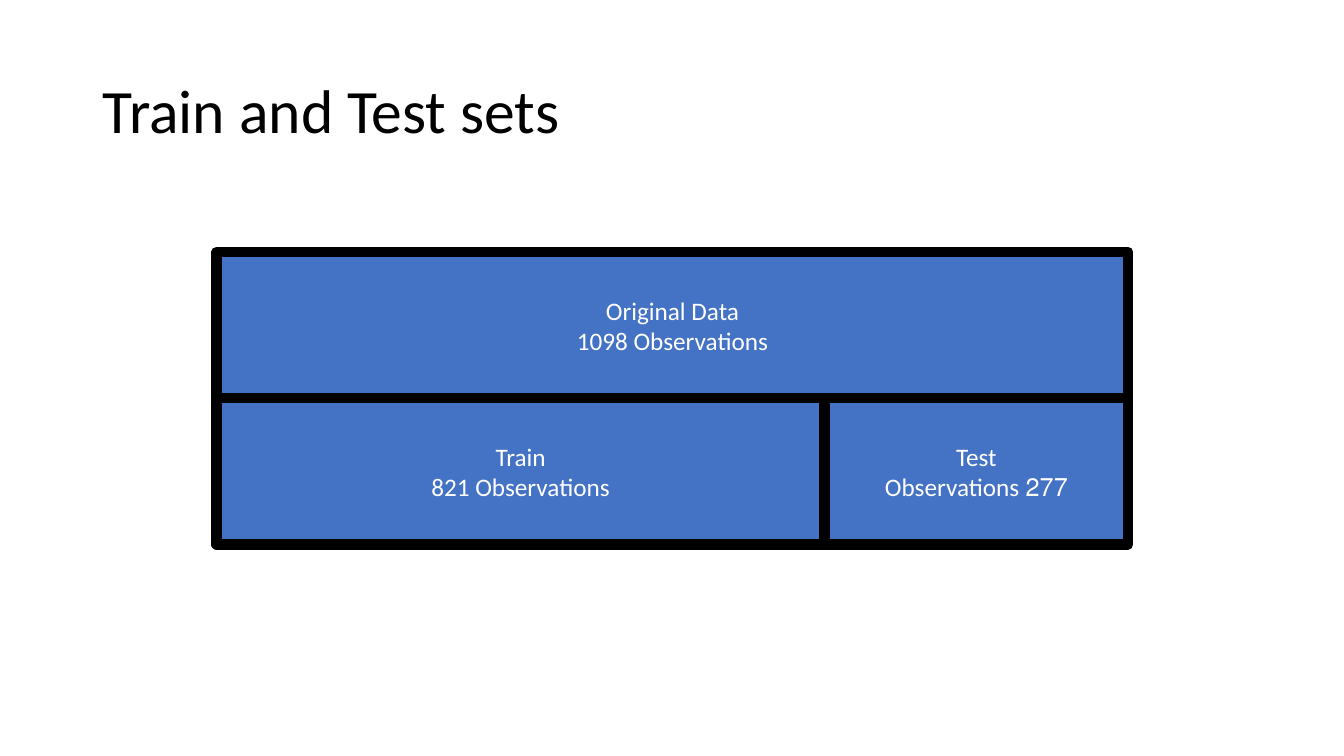
import dataclasses
import pptx
import pptx.dml.color
import pptx.enum.shapes
import pptx.enum.text
import pptx.util

Inches = pptx.util.Inches
Pt = pptx.util.Pt
Align = pptx.enum.text.PP_ALIGN
Anchor = pptx.enum.text.MSO_ANCHOR


@dataclasses.dataclass(frozen=True)
class Theme:
    face: str = "Calibri"
    ink: str = "000000"
    fill: str = "4472C4"
    light: str = "FFFFFF"
    head: float = 44
    body: float = 18
    edge: float = 7.5


def tint(code):
    return pptx.dml.color.RGBColor.from_string(code)


class Board:
    def __init__(self, slide, theme):
        self.slide = slide
        self.theme = theme

    def style(self, para, size, color, align):
        para.alignment = align
        para.font.name = self.theme.face
        para.font.size = Pt(size)
        para.font.color.rgb = tint(color)

    def place(self, shape, left, top, width, height):
        shape.left, shape.top = Inches(left), Inches(top)
        shape.width, shape.height = Inches(width), Inches(height)

    def title(self, text, *area):
        shape = self.slide.shapes.title
        self.place(shape, *area)
        frame = shape.text_frame
        frame.text = text
        frame.vertical_anchor = Anchor.MIDDLE
        para = frame.paragraphs[0]
        para.line_spacing = 0.9
        self.style(para, self.theme.head, self.theme.ink, Align.LEFT)

    def block(self, text, *area):
        kind = pptx.enum.shapes.MSO_SHAPE.RECTANGLE
        shape = self.slide.shapes.add_shape(kind, *map(Inches, area))
        shape.shadow.inherit = False
        shape.fill.solid()
        shape.fill.fore_color.rgb = tint(self.theme.fill)
        shape.line.color.rgb = tint(self.theme.ink)
        shape.line.width = Pt(self.theme.edge)
        frame = shape.text_frame
        frame.word_wrap = True
        frame.vertical_anchor = Anchor.MIDDLE
        frame.text = text
        for para in frame.paragraphs:
            self.style(para, self.theme.body, self.theme.light, Align.CENTER)
            para._p.get_or_add_pPr().set("rtl", "1")


def main():
    deck = pptx.Presentation()
    deck.slide_width, deck.slide_height = Inches(13.33), Inches(7.5)
    board = Board(deck.slides.add_slide(deck.slide_layouts[5]), Theme())
    board.title("Train and Test sets", 0.92, 0.4, 11.5, 1.45)

    left, top, width, height = 2.15, 2.5, 9.04, 1.45
    train = width * 2 / 3
    low = top + height
    board.block("Original Data\v1098 Observations", left, top, width, height)
    board.block("Train\v821 Observations", left, low, train, height)
    board.block("Test\n277 Observations", left + train, low, width - train, height)
    deck.save("out.pptx")


if __name__ == "__main__":
    main()
